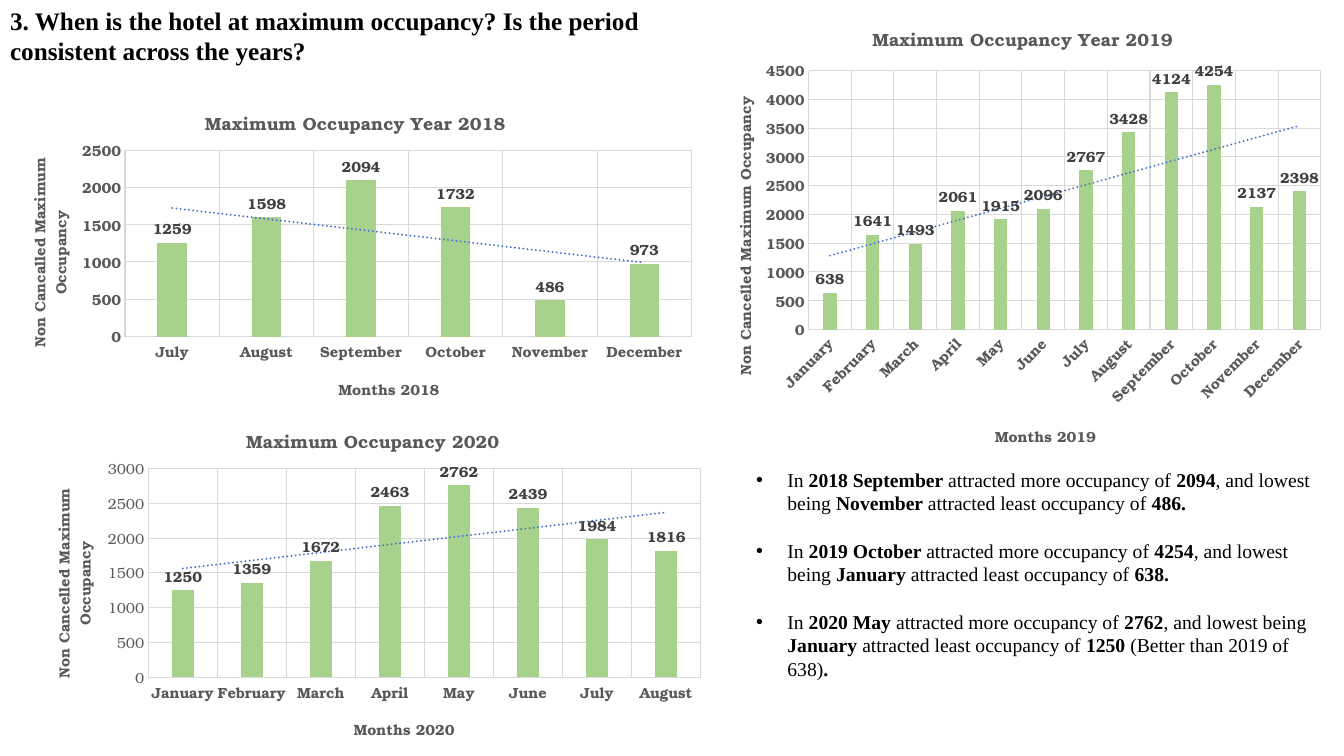
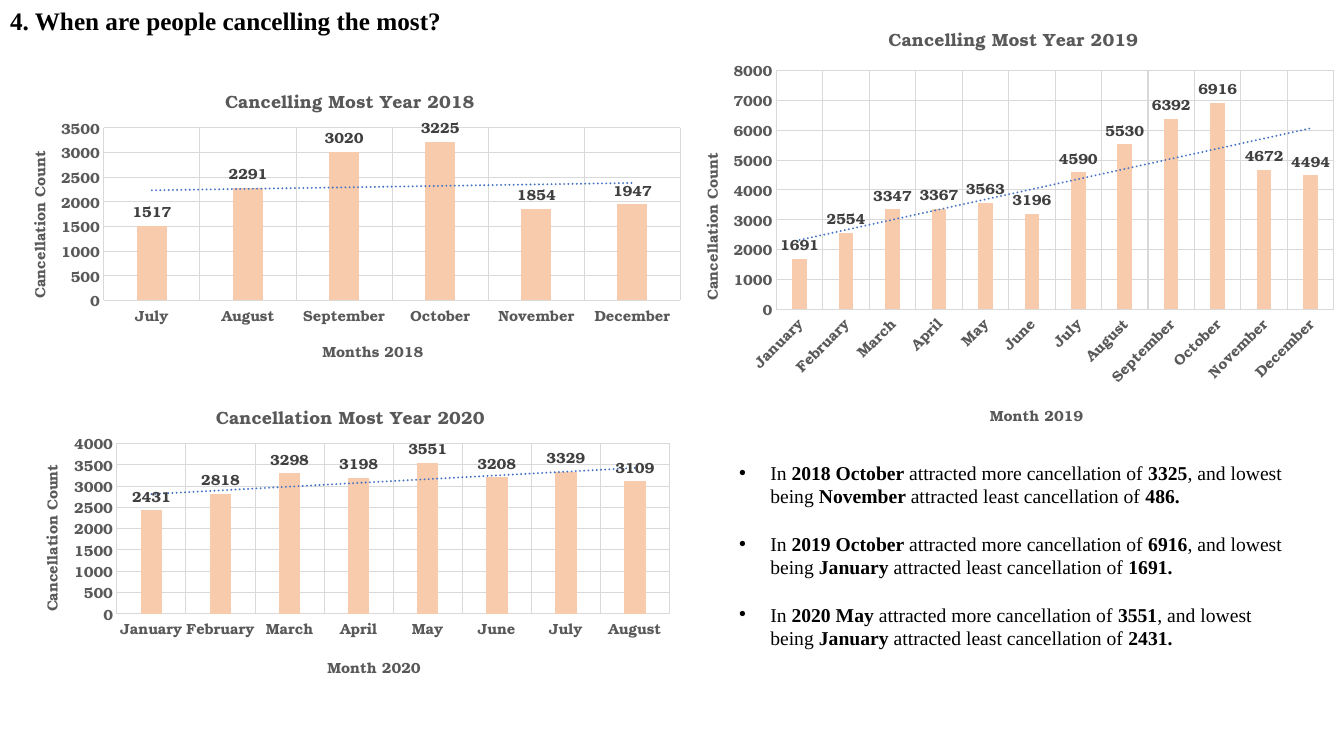
"""Build two slides on hotel occupancy and cancellations by month."""
from lxml import etree
from pptx import Presentation
from pptx.chart.data import CategoryChartData
from pptx.dml.color import RGBColor
from pptx.enum.chart import XL_CHART_TYPE, XL_LABEL_POSITION, XL_TICK_MARK
from pptx.enum.text import MSO_ANCHOR, MSO_AUTO_SIZE, PP_ALIGN
from pptx.oxml import parse_xml
from pptx.oxml.ns import nsdecls, qn
from pptx.util import Inches, Pt

COLUMN_CLUSTERED = XL_CHART_TYPE.COLUMN_CLUSTERED
OUTSIDE_END = XL_LABEL_POSITION.OUTSIDE_END
NO_TICK = XL_TICK_MARK.NONE
LEFT = PP_ALIGN.LEFT
TOP = MSO_ANCHOR.TOP
NO_AUTOFIT = MSO_AUTO_SIZE.NONE

BLACK = RGBColor(0x00, 0x00, 0x00)
LABEL_GRAY = RGBColor(0x40, 0x40, 0x40)
AXIS_GRAY = RGBColor(0x59, 0x59, 0x59)
GRID_GRAY = RGBColor(0xD9, 0xD9, 0xD9)
TREND_BLUE = RGBColor(0x44, 0x72, 0xC4)
GREEN = RGBColor(0xA9, 0xD1, 0x8E)
PEACH = RGBColor(0xF8, 0xCB, 0xAD)
TEXT_FONT = "Times New Roman"
CHART_FONT = "TeX Gyre Bonum"
CHART_SIZE = 10.5
CHART_TITLE_SIZE = 12.6

MONTHS = ["January", "February", "March", "April", "May", "June", "July",
          "August", "September", "October", "November", "December"]
MONTHS_2018, MONTHS_2019, MONTHS_2020 = MONTHS[6:], MONTHS, MONTHS[:8]

TRENDLINE = (
    f'<c:trendline {nsdecls("c", "a")}><c:spPr><a:ln w="19050" cap="rnd">'
    f'<a:solidFill><a:srgbClr val="{TREND_BLUE}"/></a:solidFill>'
    '<a:prstDash val="sysDot"/></a:ln></c:spPr>'
    '<c:trendlineType val="linear"/><c:dispRSqr val="0"/><c:dispEq val="0"/>'
    '</c:trendline>')

SLIDES = [
    {
        "title": "3. When is the hotel at maximum occupancy? "
                 "Is the period consistent across the years?",
        "title_size": (6.8, 0.71),
        "color": GREEN,
        "body_box": (7.4, 4.59, 5.7, 2.22),
        "bullets": [
            "In *2018 September *attracted more occupancy of *2094*, and lowest being "
            "*November *attracted least occupancy of *486.",
            "In *2019 October *attracted more occupancy of *4254*, and lowest being "
            "*January *attracted least occupancy of *638.",
            "In *2020 May *attracted more occupancy of *2762*, and lowest being "
            "*January *attracted least occupancy of *1250 *(Better than 2019 of 638)*.",
        ],
        "charts": [
            {"box": (0, 0.83, 7, 3.29), "plot": (1.24, 1.49, 6.86, 3.34),
             "title": ("Maximum Occupancy Year 2018", 2.0),
             "category_title": ("Months 2018", 3.33),
             "value_title": ("Non Cancalled Maximum Occupancy", 1.54),
             "months": MONTHS_2018, "scale": (2500, 500), "bold_values": True,
             "values": [1259, 1598, 2094, 1732, 486, 973]},
            {"box": (0.24, 3.99, 6.86, 3.51), "plot": (1.47, 4.65, 6.95, 6.72),
             "title": ("Maximum Occupancy 2020", 2.41),
             "category_title": ("Months 2020", 3.48),
             "value_title": ("Non Cancelled Maximum Occupancy", 4.82),
             "months": MONTHS_2020, "scale": (3000, 500), "bold_values": False,
             "values": [1250, 1359, 1672, 2463, 2762, 2439, 1984, 1816]},
            {"box": (7, 0, 6.23, 4.59), "plot": (8.02, 0.7, 13.1, 3.27),
             "title": ("Maximum Occupancy Year 2019", 8.62),
             "category_title": ("Months 2019", 9.84),
             "value_title": ("Non Cancelled Maximum Occupancy", 0.93),
             "months": MONTHS_2019, "scale": (4500, 500), "bold_values": True,
             "values": [638, 1641, 1493, 2061, 1915, 2096,
                        2767, 3428, 4124, 4254, 2137, 2398]},
        ],
    },
    {
        "title": "4. When are people cancelling the most?",
        "title_size": (7.43, 0.4),
        "color": PEACH,
        "body_box": (7.23, 4.52, 5.7, 1.99),
        "bullets": [
            "In *2018 October *attracted more cancellation of *3325*, and lowest being "
            "*November *attracted least cancellation of *486.",
            "In *2019 October *attracted more cancellation of *6916*, and lowest being "
            "*January *attracted least cancellation of *1691.",
            "In *2020 May *attracted more cancellation of *3551*, and lowest being "
            "*January *attracted least cancellation of *2431.",
        ],
        "charts": [
            {"box": (0, 0.62, 6.89, 3.13), "plot": (1.03, 1.27, 6.75, 2.98),
             "title": ("Cancelling Most Year 2018", 2.2),
             "category_title": ("Months 2018", 3.17),
             "value_title": ("Cancellation Count", 1.47),
             "months": MONTHS_2018, "scale": (3500, 500), "bold_values": True,
             "values": [1517, 2291, 3020, 3225, 1854, 1947]},
            {"box": (0.12, 3.75, 6.66, 3.13), "plot": (1.16, 4.4, 6.64, 6.09),
             "title": ("Cancellation Most Year 2020", 2.11),
             "category_title": ("Month 2020", 3.22),
             "value_title": ("Cancellation Count", 4.58),
             "months": MONTHS_2020, "scale": (4000, 500), "bold_values": True,
             "values": [2431, 2818, 3298, 3198, 3551, 3208, 3329, 3109]},
            {"box": (6.67, 0, 6.71, 4.38), "plot": (7.7, 0.7, 13.23, 3.07),
             "title": ("Cancelling Most Year 2019", 8.78),
             "category_title": ("Month 2019", 9.79),
             "value_title": ("Cancellation Count", 1.49),
             "months": MONTHS_2019, "scale": (8000, 1000), "bold_values": True,
             "values": [1691, 2554, 3347, 3367, 3563, 3196,
                        4590, 5530, 6392, 6916, 4672, 4494]},
        ],
    },
]


def style_font(font, name, size, color, bold):
    """Set the typeface, size, colour and weight of a font."""
    font.name = name
    font.size = Pt(size)
    font.bold = bold
    font.color.rgb = color


def place_part(element, index, box, left, top, right=None, bottom=None):
    """Fix a chart part at slide positions, as fractions of the chart box."""
    for old_layout in element.findall(qn("c:layout")):
        element.remove(old_layout)
    box_left, box_top, box_width, box_height = box
    settings = [("xMode", "edge"), ("yMode", "edge"),
                ("x", (left - box_left) / box_width),
                ("y", (top - box_top) / box_height)]
    if right is not None:
        settings.insert(0, ("layoutTarget", "inner"))
        settings += [("w", (right - left) / box_width),
                     ("h", (bottom - top) / box_height)]
    layout = etree.Element(qn("c:layout"))
    manual_layout = etree.SubElement(layout, qn("c:manualLayout"))
    for tag, value in settings:
        etree.SubElement(manual_layout, qn(f"c:{tag}")).set("val", str(value))
    element.insert(index, layout)


presentation = Presentation()
presentation.slide_width = Inches(13.33)
presentation.slide_height = Inches(7.5)

for content in SLIDES:
    slide = presentation.slides.add_slide(presentation.slide_layouts[1])
    title, body = slide.shapes.title, slide.placeholders[1]
    for shape, box in ((title, (0, 0, *content["title_size"])),
                       (body, content["body_box"])):
        shape.left, shape.top, shape.width, shape.height = map(Inches, box)
        shape.text_frame.word_wrap = True
        shape.text_frame.auto_size = NO_AUTOFIT
        shape.text_frame.vertical_anchor = TOP

    title.text_frame.text = content["title"]
    paragraph = title.text_frame.paragraphs[0]
    paragraph.alignment = LEFT
    style_font(paragraph.runs[0].font, TEXT_FONT, 18, BLACK, True)

    body.text_frame.text = "\n".join(["" for bullet in content["bullets"]])
    for number, (paragraph, bullet) in enumerate(
            zip(body.text_frame.paragraphs, content["bullets"])):
        paragraph.space_before = Pt(17 if number else 0)
        properties = paragraph._p.get_or_add_pPr()
        properties.set("marL", str(Inches(0.31)))
        properties.set("indent", str(-Inches(0.31)))
        for position, part in enumerate(bullet.split("*")):
            run = paragraph.add_run()
            run.text = part
            style_font(run.font, TEXT_FONT, 14, BLACK, position % 2 == 1)

    for details in content["charts"]:
        box = details["box"]
        chart_data = CategoryChartData()
        chart_data.categories = details["months"]
        chart_data.add_series("Series 1", details["values"])
        chart = slide.shapes.add_chart(
            COLUMN_CLUSTERED, *map(Inches, box), chart_data).chart
        chart.has_legend = False
        chart.has_title = True
        style_font(chart.font, CHART_FONT, CHART_SIZE, BLACK, False)
        place_part(chart._chartSpace.chart.plotArea, 0, box, *details["plot"])

        plot = chart.plots[0]
        plot.gap_width = 219
        plot.overlap = -27
        plot.vary_by_categories = False
        series = plot.series[0]
        series.format.fill.solid()
        series.format.fill.fore_color.rgb = content["color"]
        labels = series.data_labels
        labels.show_value = True
        labels.position = OUTSIDE_END
        style_font(labels.font, CHART_FONT, CHART_SIZE, LABEL_GRAY, True)
        series._element.find(qn("c:cat")).addprevious(parse_xml(TRENDLINE))

        category_axis, value_axis = chart.category_axis, chart.value_axis
        for axis, bold in ((category_axis, True),
                           (value_axis, details["bold_values"])):
            axis.major_tick_mark = axis.minor_tick_mark = NO_TICK
            axis.has_major_gridlines = True
            axis.major_gridlines.format.line.color.rgb = GRID_GRAY
            axis.major_gridlines.format.line.width = Pt(0.75)
            style_font(axis.tick_labels.font, CHART_FONT, CHART_SIZE, AXIS_GRAY, bold)
        category_axis.format.line.color.rgb = GRID_GRAY
        category_axis.format.line.width = Pt(0.75)
        if details["months"] == MONTHS_2019:
            label_body = category_axis._element.find(qn("c:txPr")).find(qn("a:bodyPr"))
            label_body.set("rot", "-2700000")
        value_axis.format.line.fill.background()
        value_axis.minimum_scale = 0
        value_axis.maximum_scale, value_axis.major_unit = details["scale"]

        title_text, title_left = details["title"]
        category_text, category_left = details["category_title"]
        value_text, value_top = details["value_title"]
        for heading, text, size, left, top in (
                (chart.chart_title, title_text, CHART_TITLE_SIZE,
                 title_left, box[1] + 0.2),
                (category_axis.axis_title, category_text, CHART_SIZE,
                 category_left, box[1] + box[3] - 0.41),
                (value_axis.axis_title, value_text, CHART_SIZE,
                 box[0] + 0.24, value_top)):
            heading.text_frame.text = text
            style_font(heading.text_frame.paragraphs[0].runs[0].font,
                       CHART_FONT, size, AXIS_GRAY, True)
            place_part(heading._element, 1, box, left, top)
        value_body = value_axis.axis_title.text_frame._txBody.find(qn("a:bodyPr"))
        value_body.set("rot", "-5400000")
        value_body.set("vert", "horz")

presentation.save("out.pptx")
